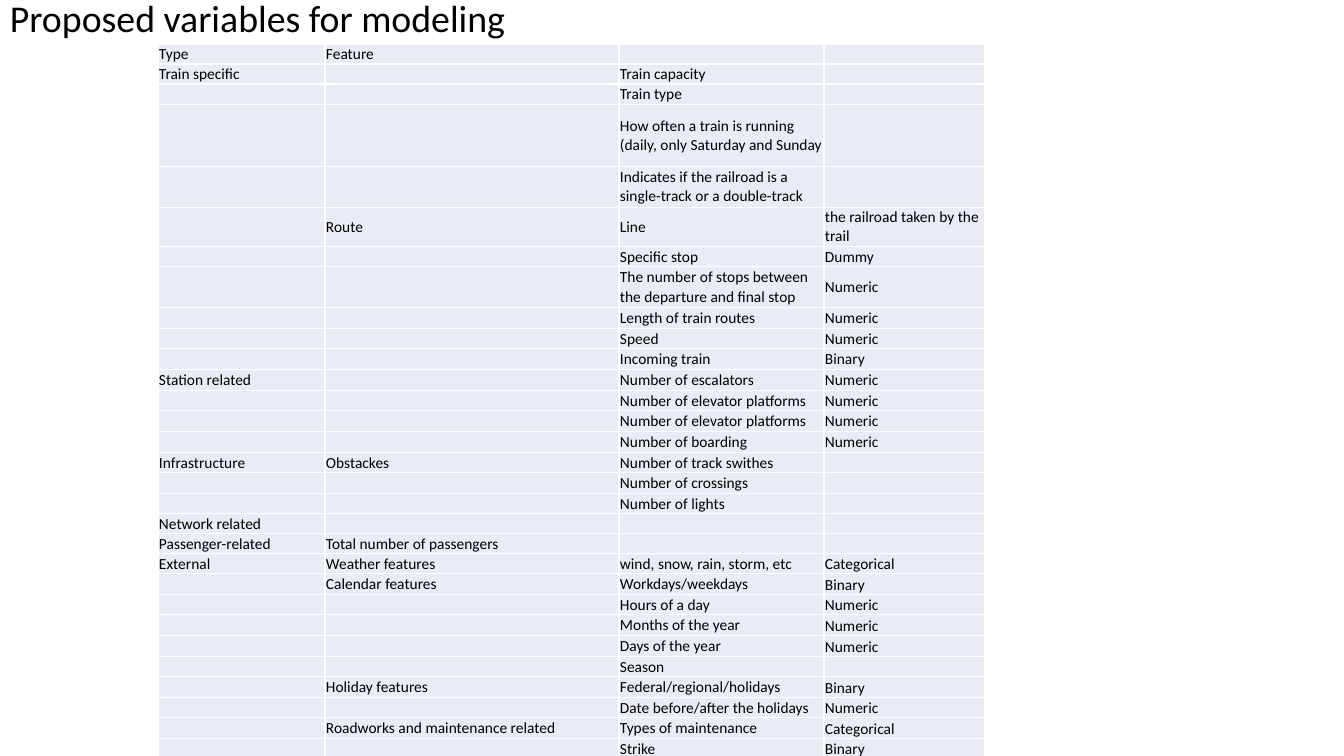
from lxml.etree import SubElement
from pptx import Presentation
from pptx.dml.color import RGBColor
from pptx.enum.text import MSO_ANCHOR
from pptx.oxml import parse_xml
from pptx.oxml.ns import nsdecls, qn
from pptx.util import Pt

EMU_PER_PX = 914400 / 100.8
FONT = "Calibri"
BLACK, WHITE, CELL_FILL = "000000", "FFFFFF", "E9EBF5"
CELL_PT = 11

COLUMN_WIDTHS = [167, 294, 205, 161]
# Height, type, feature, variable, scale
VARIABLES = [
    (20, "Type", "Feature", "", ""),
    (20, "Train specific", "", "Train capacity", ""),
    (20, "", "", "Train type", ""),
    (62, "", "", "How often a train is running (daily, only Saturday and Sunday", ""),
    (41, "", "", "Indicates if the railroad is a single-track or a double-track", ""),
    (39, "", "Route", "Line", "the railroad taken by the trail"),
    (20, "", "", "Specific stop", "Dummy"),
    (41, "", "", "The number of stops between the departure and final stop", "Numeric"),
    (21, "", "", "Length of train routes", "Numeric"),
    (20, "", "", "Speed", "Numeric"),
    (21, "", "", "Incoming train", "Binary"),
    (21, "Station related", "", "Number of escalators", "Numeric"),
    (20, "", "", "Number of elevator platforms", "Numeric"),
    (21, "", "", "Number of elevator platforms", "Numeric"),
    (21, "", "", "Number of boarding", "Numeric"),
    (20, "Infrastructure", "Obstackes", "Number of track swithes", ""),
    (21, "", "", "Number of crossings", ""),
    (20, "", "", "Number of lights", ""),
    (20, "Network related", "", "", ""),
    (20, "Passenger-related", "Total number of passengers", "", ""),
    (20, "External", "Weather features", "wind, snow, rain, storm, etc", "Categorical"),
    (21, "", "Calendar features", "Workdays/weekdays", "Binary"),
    (20, "", "", "Hours of a day", "Numeric"),
    (21, "", "", "Months of the year", "Numeric"),
    (21, "", "", "Days of the year", "Numeric"),
    (20, "", "", "Season", ""),
    (21, "", "Holiday features", "Federal/regional/holidays", "Binary"),
    (20, "", "", "Date before/after the holidays", "Numeric"),
    (21, "", "Roadworks and maintenance related", "Types of maintenance", "Categorical"),
    (20, "", "", "Strike", "Binary"),
]
SCALE_COLUMN = 3
BOTTOM_ANCHORED_ROWS = {5, 6, *range(20, 30)}


def px(length):
    return round(length * EMU_PER_PX)


def color(hex_code):
    return RGBColor.from_string(hex_code)


def add_run(paragraph, text, size):
    run = paragraph.add_run()
    run.text = text
    run.font.name = FONT
    run.font.size = Pt(size)
    run.font.color.rgb = color(BLACK)


def add_borders(cell):
    properties = cell._tc.get_or_add_tcPr()
    for position, side in enumerate("LRTB"):
        properties.insert(position, parse_xml(
            f'<a:ln{side} {nsdecls("a")} w="{Pt(1)}"><a:solidFill>'
            f'<a:srgbClr val="{WHITE}"/></a:solidFill></a:ln{side}>'))


def fill_cell(cell, text, anchor):
    cell.fill.solid()
    cell.fill.fore_color.rgb = color(CELL_FILL)
    cell.margin_left = cell.margin_right = cell.margin_top = px(1)
    cell.margin_bottom = 0
    cell.vertical_anchor = anchor
    add_borders(cell)
    paragraph = cell.text_frame.paragraphs[0]
    if text:
        add_run(paragraph, text, CELL_PT)
    else:
        # An empty cell takes its line height from the paragraph end mark
        SubElement(paragraph._p, qn("a:endParaRPr"), sz=str(CELL_PT * 100))


def add_variable_table(slide, left, top):
    heights = [row[0] for row in VARIABLES]
    table = slide.shapes.add_table(
        len(VARIABLES), len(COLUMN_WIDTHS), px(left), px(top),
        px(sum(COLUMN_WIDTHS)), px(sum(heights))).table
    table.first_row = table.horz_banding = False
    for column, width in zip(table.columns, COLUMN_WIDTHS):
        column.width = px(width)
    for r, (height, *texts) in enumerate(VARIABLES):
        table.rows[r].height = px(height)
        for c, text in enumerate(texts):
            at_bottom = c == SCALE_COLUMN and r in BOTTOM_ANCHORED_ROWS
            fill_cell(table.cell(r, c), text,
                      MSO_ANCHOR.BOTTOM if at_bottom else MSO_ANCHOR.MIDDLE)


def add_title(slide, left, top, width, height):
    frame = slide.shapes.add_textbox(px(left), px(top), px(width), px(height)).text_frame
    frame.word_wrap = True
    frame.vertical_anchor = MSO_ANCHOR.MIDDLE
    paragraph = frame.paragraphs[0]
    paragraph.line_spacing = 0.7
    add_run(paragraph, "Proposed variables for modeling", 27)


def main():
    presentation = Presentation()
    presentation.slide_width, presentation.slide_height = px(1344), px(756)
    slide = presentation.slides.add_slide(presentation.slide_layouts[6])
    add_variable_table(slide, 158, 44)
    add_title(slide, 0, 0, 1144, 46)
    presentation.save("out.pptx")


if __name__ == "__main__":
    main()
